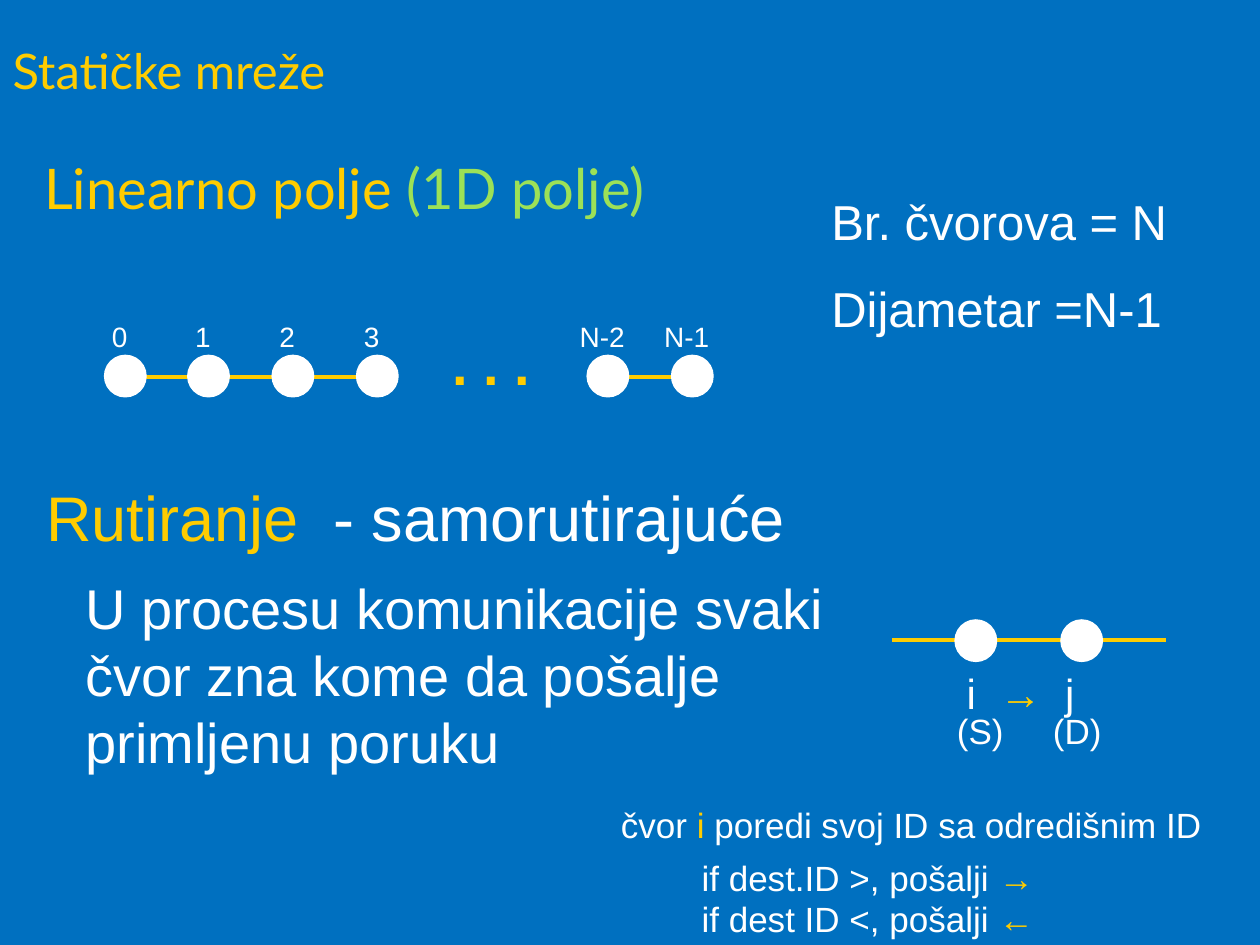
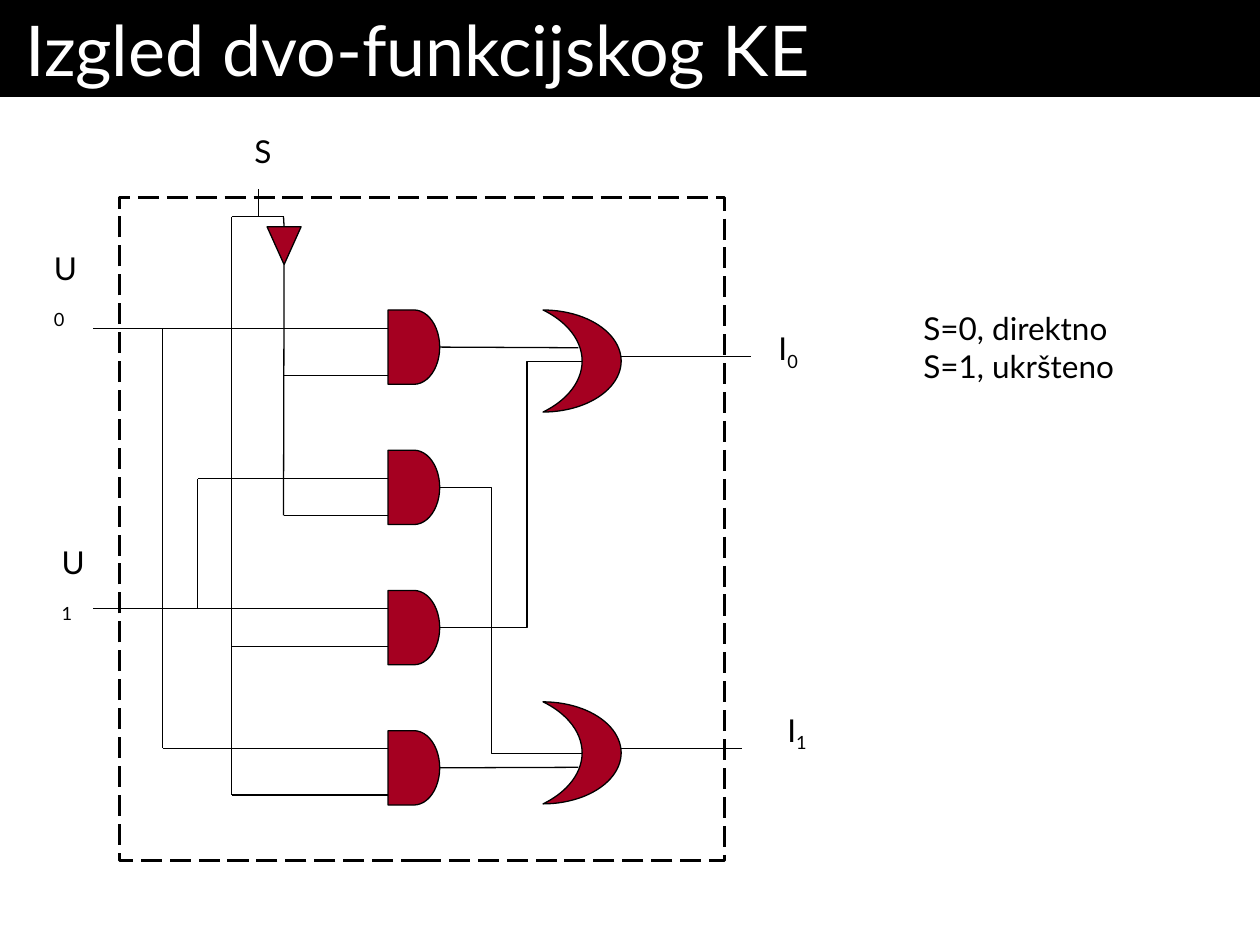
from lxml.etree import SubElement
from pptx import Presentation
from pptx.dml.color import RGBColor
from pptx.enum.dml import MSO_LINE
from pptx.enum.shapes import MSO_CONNECTOR as CONNECTOR, MSO_SHAPE as SHAPE
from pptx.enum.text import MSO_ANCHOR as ANCHOR, MSO_AUTO_SIZE, PP_ALIGN as ALIGN
from pptx.oxml.ns import qn
from pptx.util import Inches, Pt

COLORS = {name: RGBColor.from_string(value) for name, value in {
    "blue": "0070C0", "yellow": "FFCC00", "green": "9CE157",
    "white": "FFFFFF", "black": "000000", "red": "A50021"}.items()}


def write_text(shape, box, paragraphs, size, font="Arial", align=ALIGN.LEFT,
               anchor=ANCHOR.TOP, space_before=0, bold=False):
    """Place a shape and fill it with paragraphs, each a list of (text, color) runs."""
    shape.left, shape.top, shape.width, shape.height = map(Inches, box)
    frame = shape.text_frame
    frame.word_wrap = True
    frame.auto_size = MSO_AUTO_SIZE.NONE
    frame.vertical_anchor = anchor
    for index, runs in enumerate(paragraphs):
        paragraph = frame.paragraphs[0] if index == 0 else frame.add_paragraph()
        paragraph.alignment = align
        paragraph.space_before = Pt(space_before if index else 0)
        for text, color in runs:
            run = paragraph.add_run()
            run.text = text
            run.font.name = font
            run.font.size = Pt(size)
            run.font.bold = bold
            run.font.color.rgb = COLORS[color]
    return frame


def add_wire(slide, start, end, color="black", width=0.75, kind=CONNECTOR.STRAIGHT):
    wire = slide.shapes.add_connector(kind, *map(Inches, start + end))
    wire.line.color.rgb = COLORS[color]
    wire.line.width = Pt(width)
    SubElement(wire._element.spPr, qn("a:effectLst"))
    return wire


presentation = Presentation()
presentation.slide_width, presentation.slide_height = Inches(10), Inches(7.5)

# Slide 1: linear array
slide = presentation.slides.add_slide(presentation.slide_layouts[1])
slide.background.fill.solid()
slide.background.fill.fore_color.rgb = COLORS["blue"]
write_text(slide.shapes.title, (0, 0.27, 10, 0.57), [[("Statičke mreže", "yellow")]],
           28, "Lato", anchor=ANCHOR.MIDDLE)
heading = write_text(slide.placeholders[1], (0.25, 1.17, 9.58, 0.83),
                     [[("Linearno polje", "yellow"), (" (1D polje)", "green")]], 32, "Lato")
properties = heading.paragraphs[0]._p.get_or_add_pPr()
properties.set("marL", str(Inches(0.38)))
properties.set("indent", str(-Inches(0.38)))
SubElement(properties, qn("a:buNone"))

# Links, then the nodes over them
for left, right, y in [(1.16, 2.83, 2.99), (4.99, 5.66, 2.99), (7.08, 9.25, 5.08)]:
    add_wire(slide, (left, y), (right, y), "yellow", 2.25)
NODE_SIZE = 0.33
array_nodes = [(0.83, "0"), (1.49, "1"), (2.16, "2"), (2.83, "3"), (4.66, "N-2"), (5.33, "N-1")]
for left, top in [(left, 2.82) for left, label in array_nodes] + [(7.58, 4.92), (8.42, 4.92)]:
    node = slide.shapes.add_shape(SHAPE.OVAL, *map(Inches, (left, top, NODE_SIZE, NODE_SIZE)))
    node.shadow.inherit = False
    node.fill.solid()
    node.fill.fore_color.rgb = COLORS["white"]
    node.line.color.rgb = COLORS["white"]
    node.line.width = Pt(0.75)

# Centred labels: text, centre, top, size, color
labels = [(label, left + 0.12, 2.49, 16, "white") for left, label in array_nodes]
labels += [("i", 7.71, 5.25, 24, "white"), ("→", 8.1, 5.25, 24, "yellow"),
           ("j", 8.49, 5.25, 24, "white"),
           ("(S)", 7.78, 5.58, 20, "white"), ("(D)", 8.55, 5.58, 20, "white")]
for text, center, top, size, color in labels:
    write_text(slide.shapes.add_textbox(0, 0, 0, 0), (center - 0.4, top, 0.8, 0.45),
               [[(text, color)]], size, align=ALIGN.CENTER)
write_text(slide.shapes.add_textbox(0, 0, 0, 0), (3.49, 2.57, 1.08, 0.63),
           [[(". . .", "yellow")]], 32, bold=True)

# Properties and routing rules
text_blocks = [
    ((6.5, 1.47, 3, 1.27), 28, [[("Br. čvorova = N", "white")], [("Dijametar =N-1", "white")]]),
    ((0.27, 3.75, 9.14, 0.7), 36, [[("Rutiranje ", "yellow"), (" - samorutirajuće", "white")]]),
    ((0.58, 4.5, 6.08, 1.7), 32,
     [[("U procesu komunikacije svaki čvor zna kome da pošalje primljenu poruku", "white")]]),
    ((4.83, 6.33, 5.17, 0.43), 20,
     [[("čvor ", "white"), ("i ", "yellow"), ("poredi svoj ID sa odredišnim ID", "white")]]),
    ((5.47, 6.75, 4.17, 0.43), 20, [[("if dest.ID >, pošalji ", "white"), ("→", "yellow")]]),
    ((5.47, 7.07, 2.94, 0.43), 20, [[("if dest ID <, pošalji ", "white"), ("←", "yellow")]]),
]
for box, size, paragraphs in text_blocks:
    write_text(slide.shapes.add_textbox(0, 0, 0, 0), box, paragraphs, size, space_before=16)

# Slide 2: two-function switching element
slide = presentation.slides.add_slide(presentation.slide_layouts[5])
slide.background.fill.solid()
slide.background.fill.fore_color.rgb = COLORS["white"]
title = slide.shapes.title
title.fill.solid()
title.fill.fore_color.rgb = COLORS["black"]
frame = write_text(title, (0, 0, 10, 0.77), [[("Izgled dvo-funkcijskog KE", "white")]],
                   40, "Lato", anchor=ANCHOR.MIDDLE)
frame.margin_left = frame.margin_right = Inches(0.2)

# Gates: four AND, two OR, one inverter
gate_boxes = [(SHAPE.FLOWCHART_DELAY, 3.08, 2.46 + 1.113 * row, 0.41, 0.59) for row in range(4)]
gate_boxes += [(SHAPE.MOON, 4.31, top, 0.62, 0.81) for top in (2.46, 5.57)]
gate_boxes.append((SHAPE.FLOWCHART_MERGE, 2.12, 1.8, 0.27, 0.3))
gates = []
for kind, *box in gate_boxes:
    gate = slide.shapes.add_shape(kind, *map(Inches, box))
    gate.shadow.inherit = False
    gate.fill.solid()
    gate.fill.fore_color.rgb = COLORS["red"]
    gate.line.color.rgb = COLORS["black"]
    gate.line.width = Pt(0.75)
    if kind == SHAPE.MOON:
        gate.rotation = 180
        gate.adjustments[0] = 0.5
    gates.append(gate)
inverter = gates[-1]

# Horizontal wires: left, right, y
for left, right, y in [(0.74, 3.08, 4.83), (0.74, 3.08, 2.61), (2.25, 3.08, 4.09),
                       (1.84, 3.08, 6.31), (1.29, 3.08, 5.94), (1.57, 3.08, 3.8),
                       (2.25, 3.08, 2.98), (1.84, 3.08, 5.13), (1.84, 2.25, 1.72),
                       (4.93, 5.96, 2.83), (4.93, 5.89, 5.94)]:
    add_wire(slide, (left, y), (right, y))

# Vertical wires: x, top, bottom
for x, top, bottom in [(1.84, 1.72, 6.31), (1.29, 2.61, 5.94),
                       (1.57, 3.8, 4.83), (2.05, 1.5, 1.72)]:
    add_wire(slide, (x, top), (x, bottom))

# Wires joined to the inverter and to the outer AND gates
add_wire(slide, (2.25, 1.72), (2.25, 1.8)).end_connect(inverter, 0)
add_wire(slide, (2.25, 2.1), (2.25, 4.09)).begin_connect(inverter, 2)
for gate, y in [(gates[0], 2.76), (gates[3], 6.09)]:
    add_wire(slide, (3.49, y), (4.59, y)).begin_connect(gate, 3)

# Crossed wires from the inner AND gates
for start_y, end_y, bend in [(3.87, 5.98, 36400), (4.98, 2.87, 61400)]:
    wire = add_wire(slide, (3.49, start_y), (4.62, end_y), kind=CONNECTOR.ELBOW)
    guides = wire._element.spPr.find(qn("a:prstGeom")).get_or_add_avLst()
    SubElement(guides, qn("a:gd"), name="adj1", fmla=f"val {bend}")

# Input and output labels with subscripts
for letter, index, box in [("U", "0", (0.33, 2.27, 0.45, 0.4)), ("U", "1", (0.39, 4.6, 0.45, 0.4)),
                           ("I", "0", (6.08, 2.6, 0.39, 0.4)), ("I", "1", (6.15, 5.63, 0.38, 0.4))]:
    frame = write_text(slide.shapes.add_textbox(0, 0, 0, 0), box,
                       [[(letter, "black"), (index, "black")]], 18, "Lato", anchor=ANCHOR.BOTTOM)
    frame.paragraphs[0].runs[1]._r.get_or_add_rPr().set("baseline", "-25000")

# Element boundary
boundary = slide.shapes.add_shape(SHAPE.RECTANGLE, *map(Inches, (0.95, 1.57, 4.8, 5.26)))
boundary.shadow.inherit = False
boundary.fill.background()
boundary.line.color.rgb = COLORS["black"]
boundary.line.width = Pt(1.5)
boundary.line.dash_style = MSO_LINE.LONG_DASH

# Control input and its meaning
for box, lines in [((1.92, 1, 0.34, 0.4), ["S"]),
                   ((7.23, 2.4, 1.77, 0.7), ["S=0, direktno", "S=1, ukršteno"])]:
    write_text(slide.shapes.add_textbox(0, 0, 0, 0), box, [[(line, "black")] for line in lines],
               18, "Lato", anchor=ANCHOR.BOTTOM)

presentation.save("out.pptx")
